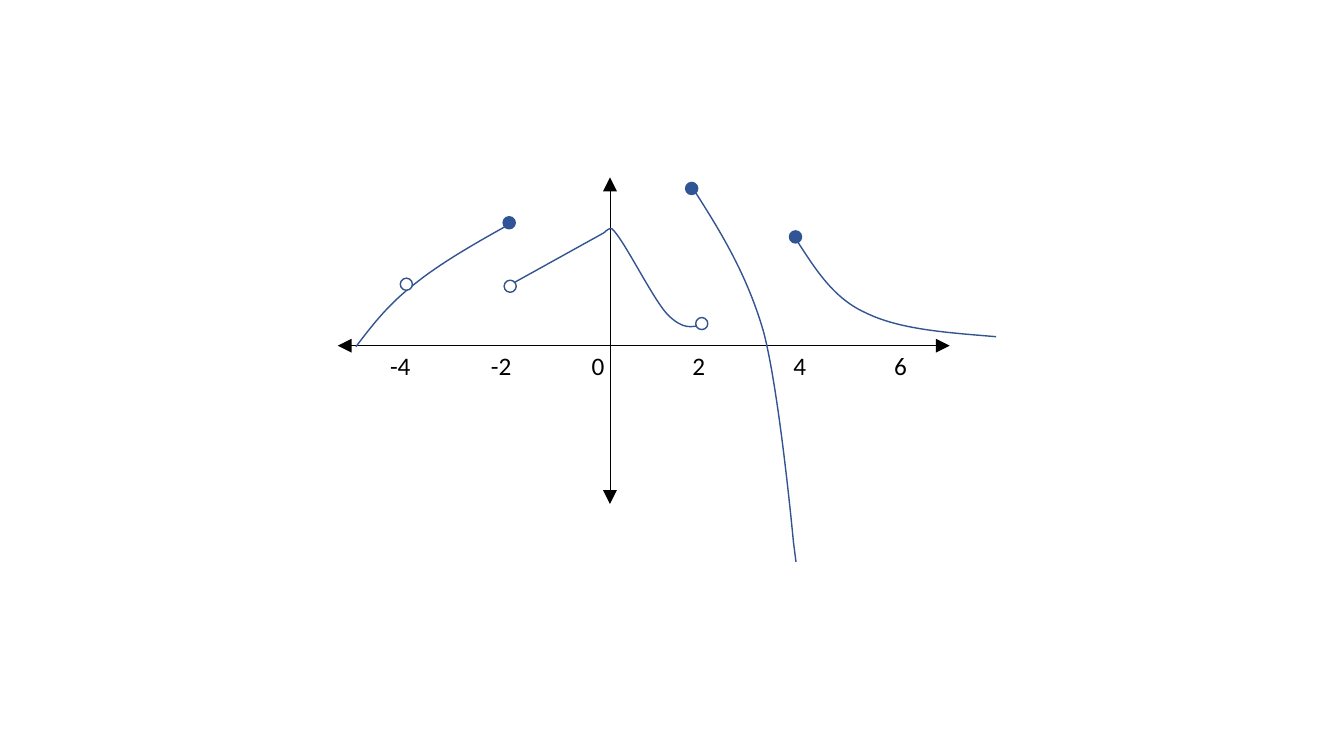
from lxml import etree
from pptx import Presentation
from pptx.dml.color import RGBColor
from pptx.enum.shapes import MSO_CONNECTOR as CONN, MSO_SHAPE as SHAPE
from pptx.enum.text import MSO_ANCHOR as ANCHOR, PP_ALIGN as ALIGN
from pptx.oxml.ns import qn
from pptx.util import Inches, Pt

BLACK = RGBColor(0x00, 0x00, 0x00)
WHITE = RGBColor(0xFF, 0xFF, 0xFF)
BLUE = RGBColor(0x2F, 0x55, 0x97)
CURVE_BLUE = RGBColor(0x32, 0x54, 0x91)

CELL = 0.5                 # inches per graph unit
ORIGIN = (6.05, 3.43)      # where the axes cross, in inches
DOT = 0.24                 # dot diameter in graph units

# Each curve: a start, then segments of one point (line) or three (cubic Bézier)
CURVES = [
    ((-5.04, -0.02), [
        [(-4.72, 0.4), (-4.4, 0.82), (-3.88, 1.22)],
        [(-3.36, 1.64), (-2.66, 2.04), (-1.94, 2.44)]]),
    ((-1.96, 1.22), [
        [(-0.12, 2.24)],
        [(-0.06, 2.3), (0, 2.34), (0.04, 2.32)],
        [(0.28, 2.1), (0.84, 0.94), (1.14, 0.62)],
        [(1.44, 0.32), (1.62, 0.36), (1.82, 0.42)]]),
    ((1.62, 3.16), [
        [(2.16, 2.32), (2.7, 1.46), (3.04, 0.3)],
        [(3.36, -0.88), (3.64, -3.9), (3.64, -3.9)],
        [(3.69, -4.29)]]),
    ((3.66, 2.16), [
        [(4.04, 1.58), (4.4, 0.96), (5.06, 0.66)],
        [(5.74, 0.32), (6.7, 0.26), (7.66, 0.18)]]),
]
OPEN_DOTS = [(-4.04, 1.22), (-1.98, 1.18), (1.82, 0.44)]
CLOSED_DOTS = [(-2, 2.44), (1.62, 3.12), (3.68, 2.16)]


def write(p, text, font="Calibri", size=18, color=BLACK, align=ALIGN.LEFT):
    p.alignment = align
    r = p.add_run()
    r.text = text
    r.font.name, r.font.size = font, Pt(size)
    r.font.color.rgb = color


class Graph:
    """Draws in graph units, with y pointing up, into one group."""

    def __init__(self, slide):
        self.shapes = slide.shapes.add_group_shape().shapes

    def at(self, x, y):
        return Inches(ORIGIN[0] + x * CELL), Inches(ORIGIN[1] - y * CELL)

    def size(self, units):
        return Inches(units * CELL)

    def axis(self, start, end):
        line = self.shapes.add_connector(CONN.STRAIGHT, *self.at(*start), *self.at(*end))
        line.line.color.rgb = BLACK
        line.line.width = Pt(0.5)
        ln = line._element.spPr.find(qn("a:ln"))
        for tag in ("a:headEnd", "a:tailEnd"):
            etree.SubElement(ln, qn(tag), type="triangle", w="lg", len="lg")
        etree.SubElement(line._element.spPr, qn("a:effectLst"))

    def labels(self, values, left, top, width, height, step):
        """One line of tabbed labels, step units apart."""
        box = self.shapes.add_textbox(*self.at(left, top), self.size(width), self.size(height))
        tf = box.text_frame
        tf.word_wrap = True
        tf.vertical_anchor = ANCHOR.TOP
        p = tf.paragraphs[0]
        tabs = etree.SubElement(p._p.get_or_add_pPr(), qn("a:tabLst"))
        for i in range(1, len(values)):
            etree.SubElement(tabs, qn("a:tab"), pos=str(self.size(i * step)), algn="l")
        write(p, "\t".join(map(str, values)))

    def curve(self, start, segments):
        """An open outline; each three-point segment is turned into a Bézier."""
        builder = self.shapes.build_freeform(*self.at(*start))
        points = [self.at(*point) for segment in segments for point in segment]
        builder.add_line_segments(points, close=False)
        sp = builder.convert_to_shape()
        lines = iter(list(sp._element.iter(qn("a:lnTo"))))
        for segment in segments:
            first, *rest = [next(lines) for _ in segment]
            if rest:
                bezier = etree.Element(qn("a:cubicBezTo"))
                first.addprevious(bezier)
                for line in (first, *rest):
                    bezier.append(line[0])
                    line.getparent().remove(line)
        sp.fill.background()
        self.outline(sp)

    def dot(self, x, y, color):
        corner = self.at(x - DOT / 2, y + DOT / 2)
        sp = self.shapes.add_shape(SHAPE.OVAL, *corner, self.size(DOT), self.size(DOT))
        sp.fill.solid()
        sp.fill.fore_color.rgb = color
        self.outline(sp)

    def outline(self, sp):
        sp.line.color.rgb = CURVE_BLUE
        sp.line.width = Pt(1)
        sp.shadow.inherit = False


def main():
    prs = Presentation()
    prs.slide_width, prs.slide_height = Inches(13.33), Inches(7.5)
    graph = Graph(prs.slides.add_slide(prs.slide_layouts[6]))

    graph.axis((-5.4, 0), (6.74, 0))
    graph.axis((0, 3.34), (0, -3.14))
    graph.labels(range(-4, 7, 2), left=-4.56, top=0, width=11.52, height=0.8, step=2)
    for start, segments in CURVES:
        graph.curve(start, segments)
    for dots, color in ((OPEN_DOTS, WHITE), (CLOSED_DOTS, BLUE)):
        for x, y in dots:
            graph.dot(x, y, color)

    prs.save("out.pptx")


if __name__ == "__main__":
    main()
